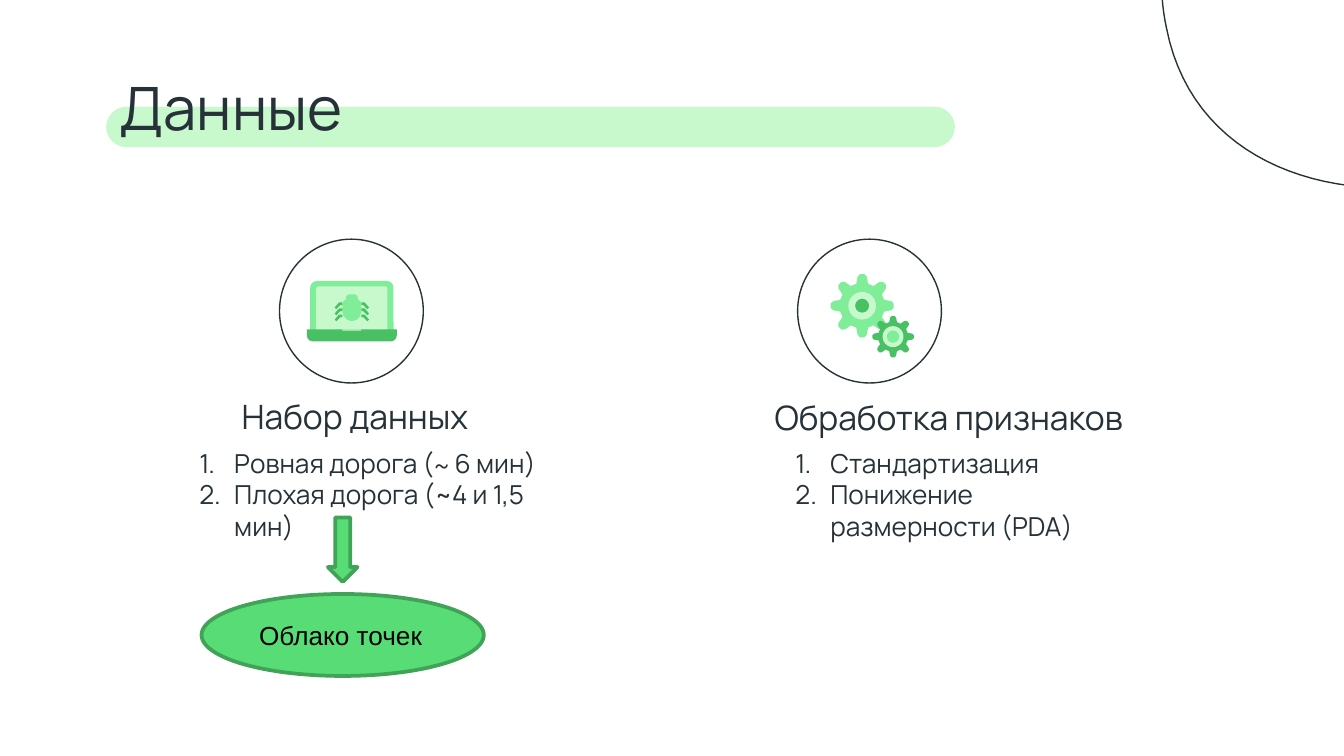
from math import cos, radians, sin

from lxml import etree
from pptx import Presentation
from pptx import util as u
from pptx.dml.color import RGBColor
from pptx.enum import shapes, text
from pptx.oxml.ns import qn

THEME = {
    "ink": "263238", "grey": "333333", "black": "000000",
    "pale": "C7F9CC", "mint": "80ED99", "deep": "48C063",
    "leaf": "58DD76", "edge": "41A357",
    "face": "Manrope", "alt": "Roboto", "plain": "Arial",
    "title": 32, "head": 18, "body": 14, "small": 12,
}
KIND = shapes.MSO_SHAPE

deck = Presentation()
deck.slide_width = u.Inches(10)
deck.slide_height = deck.slide_width * 9 // 16
slide = deck.slides.add_slide(deck.slide_layouts[5])
UNIT = deck.slide_width / 100  # the grid has 100 columns of square cells


def form(host, kind, box, fill=None, line=None, width=0.75, adjust=()):
    """Draw a preset in a grid box, or an outline when kind is a point list."""
    if isinstance(kind, list):
        pts = [(round(x * UNIT), round(y * UNIT)) for x, y in kind]
        pen = host.build_freeform(*pts[0])
        pen.add_line_segments(pts[1:], close=True)
        shape = pen.convert_to_shape()
    else:
        shape = host.add_shape(kind, *[round(v * UNIT) for v in box])
    for i, value in enumerate(adjust):
        shape.adjustments[i] = value
    shape.shadow.inherit = False
    if fill:
        shape.fill.solid()
        shape.fill.fore_color.rgb = RGBColor.from_string(THEME[fill])
    else:
        shape.fill.background()
    if line:
        shape.line.color.rgb = RGBColor.from_string(THEME[line])
        shape.line.width = u.Pt(width)
    else:
        shape.line.fill.background()
    return shape


def write(shape, box, paras, inset=1.0, listed=False):
    """Place a text shape and fill it; a run is (words, size, font, colour)."""
    shape.left, shape.top, shape.width, shape.height = [round(v * UNIT) for v in box]
    frame = shape.text_frame
    frame.word_wrap = True
    frame.auto_size = text.MSO_AUTO_SIZE.NONE
    frame.vertical_anchor = text.MSO_ANCHOR.TOP
    frame.margin_left = frame.margin_right = round(UNIT)
    frame.margin_top = frame.margin_bottom = round(inset * UNIT)
    for i, runs in enumerate(paras):
        para = frame.add_paragraph() if i else frame.paragraphs[0]
        if listed:
            props = para._p.get_or_add_pPr()
            props.set("marL", str(u.Inches(0.26)))
            props.set("indent", str(-u.Inches(0.26)))
            tint = etree.SubElement(props, qn("a:buClr"))
            etree.SubElement(tint, qn("a:srgbClr"), val=THEME["ink"])
            etree.SubElement(props, qn("a:buFont"), typeface=THEME["face"])
            etree.SubElement(props, qn("a:buAutoNum"), type="arabicPeriod")
        para.alignment = text.PP_ALIGN.LEFT
        para.space_before = para.space_after = u.Pt(0)
        para.line_spacing = 1.0
        for words, size, font, tone in runs:
            run = para.add_run()
            run.text = words
            run.font.size = u.Pt(THEME[size])
            run.font.name = THEME[font]
            run.font.color.rgb = RGBColor.from_string(THEME[tone])


# Highlight bar, with the title above it
form(slide.shapes, KIND.ROUNDED_RECTANGLE, (7.9, 7.95, 63.15, 3), "pale", adjust=[0.5])
title = slide.shapes.title
slide.shapes._spTree.append(title._element)
write(title, (7.9, 4.25, 84.3, 6.7), [[("Данные", "title", "face", "ink")]])

# Corner blob: Bezier segments sampled into an outline
start = (121.1, -18.5)
curves = [
    (120.3, -18.5, 119.3, -18.2, 118.3, -17.7), (114.4, -15.7, 114.1, -11.3, 108.8, -11.1),
    (108.3, -11, 107.8, -11, 107.3, -11), (104.8, -11, 102.4, -11.3, 100.2, -11.3),
    (97.5, -11.3, 94.8, -10.9, 91.8, -9.3), (86.8, -6.6, 85.8, -2.6, 86.8, 2.1),
    (88.4, 10.2, 95.4, 14, 103.4, 14), (106.9, 14, 110.5, 13.3, 113.9, 12),
    (124.9, 7.8, 130, -2, 127.5, -11.7), (126.8, -14.6, 124.7, -18.5, 121.1, -18.5),
]
blob = [start]
for ax, ay, bx, by, ex, ey in curves:
    sx, sy = blob[-1]
    for step in range(1, 25):
        t = step / 24
        k = 1 - t
        blob.append((k**3 * sx + 3 * k * k * t * ax + 3 * k * t * t * bx + t**3 * ex,
                     k**3 * sy + 3 * k * k * t * ay + 3 * k * t * t * by + t**3 * ey))
form(slide.shapes, blob, None, line="ink")

# Two columns: circle, heading and numbered list
cols = [
    (20.8, "Набор данных", (17, 28.45, 26.1, 4.1), (13.85, 32.3, 30.7, 7.7),
     [[("Ровная дорога (", "body", "face", "ink"), ("~", "small", "alt", "grey"),
       (" 6 мин)", "body", "face", "ink")],
      [("Плохая дорога (~4 и 1,5 мин)", "body", "face", "ink")]]),
    (59.35, "Обработка признаков", (56.65, 28.5, 32, 4.1), (58.2, 32.3, 26.1, 9.3),
     [[("Стандартизация", "body", "face", "ink")],
      [("Понижение размерности (PDA)", "body", "face", "ink")]]),
]
for left, head, top, low, items in cols:
    form(slide.shapes, KIND.OVAL, (left, 17.8, 10.7, 10.7), line="ink")
    write(slide.shapes.add_textbox(0, 0, 0, 0), top, [[(head, "head", "face", "ink")]])
    write(slide.shapes.add_textbox(0, 0, 0, 0), low, items, listed=True)

# Gears: eight teeth each, then a ring and a hub
gears = slide.shapes.add_group_shape().shapes
tooth = [(-15, 0.72), (-9, 0.93), (-4, 1), (4, 1), (9, 0.93), (15, 0.72)]
for x, y, size, fill, discs in [
    (64.15, 22.75, 2.35, "mint", [(1.03, "pale"), (0.52, "deep")]),
    (66.45, 25.05, 1.55, "deep", [(0.78, "pale"), (0.46, "mint")]),
]:
    rim = [(x + size * r * cos(radians(45 * n + a)), y + size * r * sin(radians(45 * n + a)))
           for n in range(8) for a, r in tooth]
    form(gears, rim, None, fill)
    for r, tone in discs:
        form(gears, KIND.OVAL, (x - r, y - r, 2 * r, 2 * r), tone)

# Laptop with a bug on its screen
laptop = slide.shapes.add_group_shape().shapes
mid = 26.18
for kind, wide, top, high, fill, adjust in [
    (KIND.ROUND_2_SAME_RECTANGLE, 6.2, 20.9, 4.2, "mint", [0.12, 0]),
    (KIND.ROUNDED_RECTANGLE, 5.3, 21.3, 3.8, "pale", [0.05]),
    (KIND.ROUND_2_SAME_RECTANGLE, 6.7, 24.5, 0.9, "deep", [0.05, 0.5]),
    (KIND.RECTANGLE, 1.4, 24.5, 0.1, "pale", []),
    (KIND.ROUND_2_SAME_RECTANGLE, 0.9, 21.9, 0.6, "mint", [0.5, 0]),
    (KIND.ROUND_2_SAME_RECTANGLE, 1.4, 22.3, 1.6, "mint", [0.22, 0.5]),
]:
    form(laptop, kind, (mid - wide / 2, top, wide, high), fill, adjust=adjust)
leg = [(0.7, 0), (0.95, 0), (1.28, 0.38), (1.15, 0.5), (0.85, 0.2), (0.7, 0.2)]
for side in (-1, 1):
    for n in range(3):
        form(laptop, [(mid + side * x, 22.5 + 0.45 * n + y) for x, y in leg], None, "deep")

# Arrow down to the point cloud
arrow = form(slide.shapes, KIND.RIGHT_ARROW, (23.1, 39.8, 4.8, 2.2), "leaf", "edge", 2, [0.5, 0.5])
arrow.rotation = 90
form(slide.shapes, KIND.OVAL, (15, 44.2, 21, 6.1), "leaf", "edge", 2)
write(slide.shapes.add_textbox(0, 0, 0, 0), (18.3, 45.6, 15, 3.3),
      [[("Облако точек", "body", "plain", "black")]], inset=0.5)

deck.save("out.pptx")
